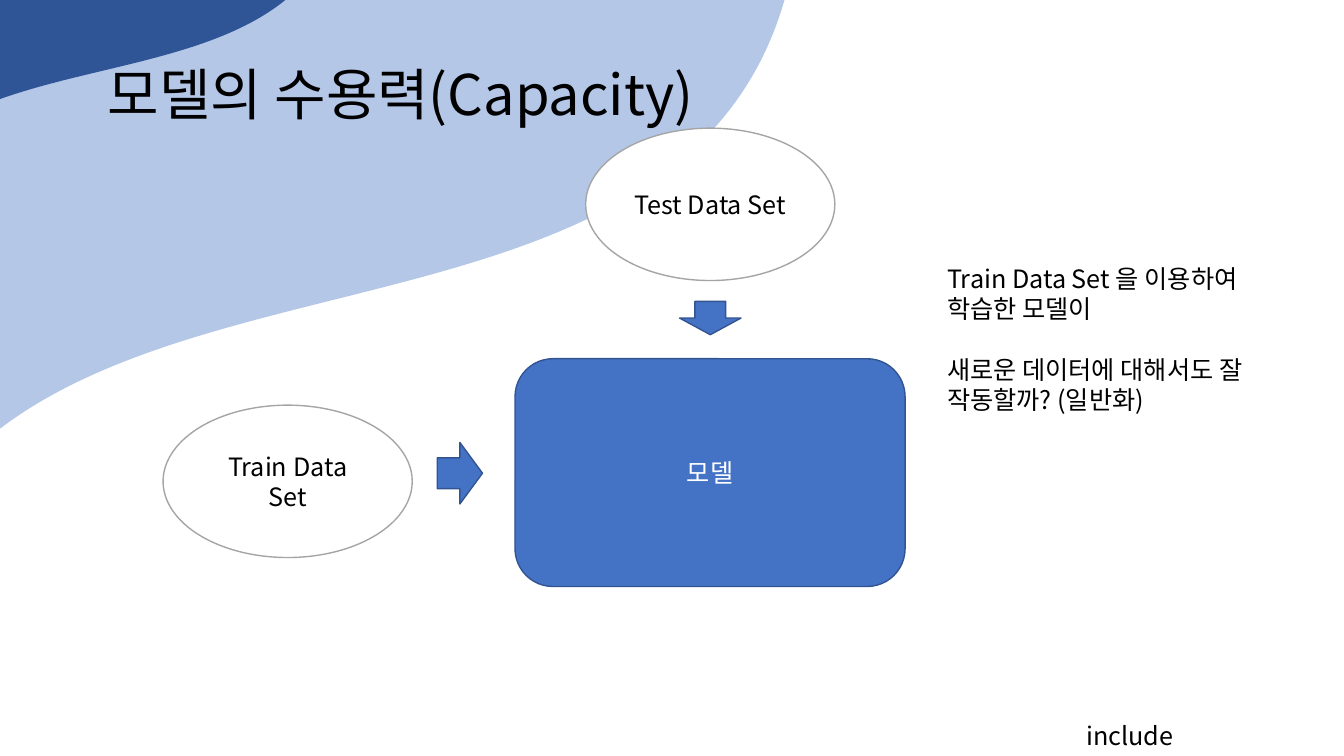
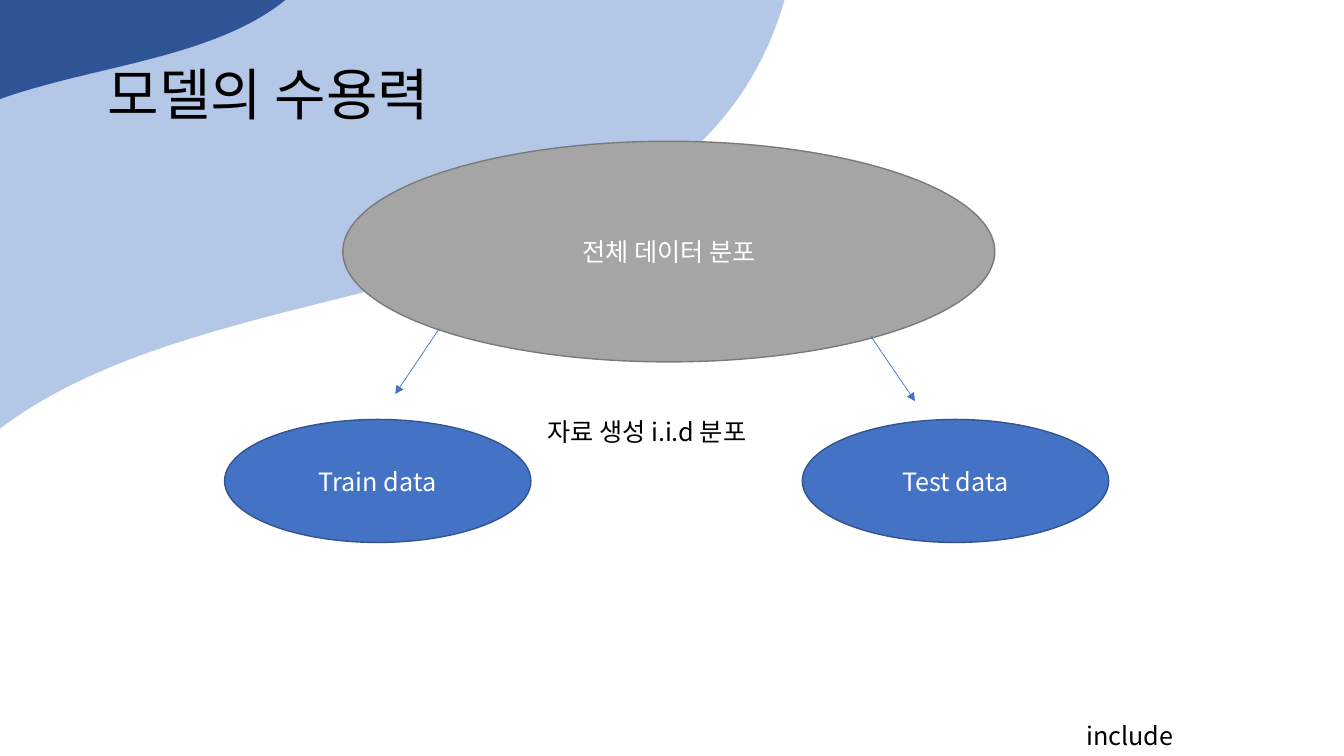
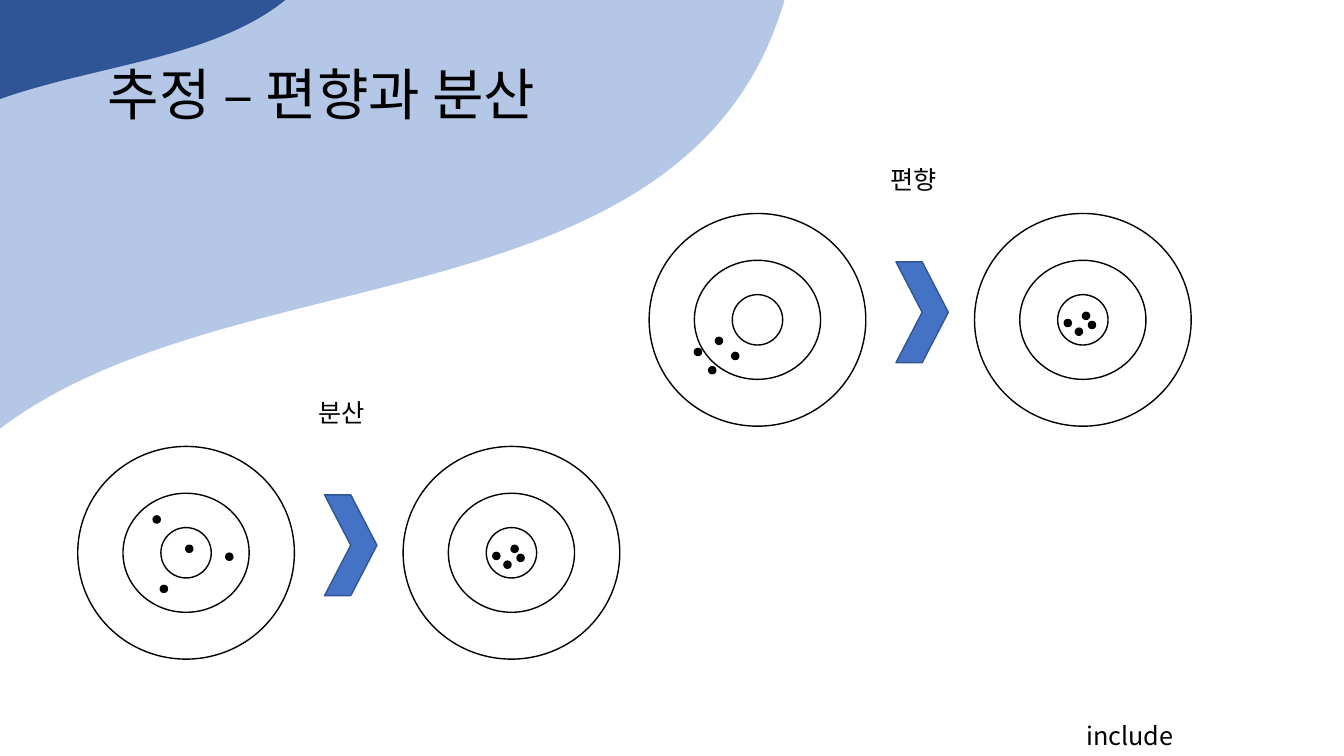
from lxml import etree
from pptx import Presentation
from pptx.dml.color import RGBColor
from pptx.enum.shapes import MSO_CONNECTOR, MSO_SHAPE as Shape
from pptx.enum.text import MSO_ANCHOR as Anchor, MSO_AUTO_SIZE as AutoSize, PP_ALIGN as Align
from pptx.oxml.ns import qn
from pptx.util import Cm, Pt

BLACK, WHITE = RGBColor(0, 0, 0), RGBColor(255, 255, 255)
BLUE, BLUE_EDGE = RGBColor(0x44, 0x72, 0xC4), RGBColor(0x32, 0x54, 0x91)
PALE_BLUE, DARK_BLUE = RGBColor(0xB4, 0xC7, 0xE7), RGBColor(0x2F, 0x55, 0x97)
GRAY, GRAY_EDGE = RGBColor(0xA5, 0xA5, 0xA5), RGBColor(0x7A, 0x7A, 0x7A)
FONT = "Noto Sans CJK KR"

# Looks: fill, line, text colour
SOLID = (BLUE, BLUE_EDGE, WHITE)
OUTLINE = (WHITE, GRAY, BLACK)
NEUTRAL = (GRAY, GRAY_EDGE, WHITE)
RING = (WHITE, BLACK, BLACK)
DOT = (BLACK, BLACK, WHITE)

# Shared parts; areas are left, top, width, height in cm
TITLE_AREA = (2.46, 1.57, 28.78, 2.54)
WAVES = [((-14.38, -13.64, 31.85, 27.25), PALE_BLUE),
         ((-9.6, -9.75, 16.89, 14.83), DARK_BLUE)]
WAVE_TURN = 317.8
FOOTER = ("include", (27.13, 18.03, 8.58, 1.03))

CAPACITY_SHAPES = [
    (Shape.OVAL, (4.11, 10.21, 6.28, 3.84), OUTLINE, "Train Data Set", 0),
    (Shape.ROUNDED_RECTANGLE, (12.98, 9.04, 9.83, 5.74), SOLID, "모델", 0),
    (Shape.RIGHT_ARROW, (11.02, 11.15, 1.14, 1.55), SOLID, "", 0),
    (Shape.OVAL, (14.76, 3.23, 6.28, 3.84), OUTLINE, "Test Data Set", 0),
    (Shape.RIGHT_ARROW, (17.48, 7.24, 0.84, 1.55), SOLID, "", 90),
]
DISTRIBUTION_SHAPES = [
    (Shape.OVAL, (8.64, 3.56, 16.43, 5.56), NEUTRAL, "전체 데이터 분포", 0),
    (Shape.OVAL, (5.66, 10.57, 7.72, 3.1), SOLID, "Train data", 0),
    (Shape.OVAL, (20.22, 10.57, 7.72, 3.1), SOLID, "Test data", 0),
]
SLIDES = [
    {"title": "모델의 수용력(Capacity)", "shapes": CAPACITY_SHAPES,
     "notes": [(["Train Data Set 을 이용하여 학습한 모델이",
                 "새로운 데이터에 대해서도 잘 작동할까? (일반화)"],
                (23.62, 6.5, 8.31, 4.11))]},
    {"title": "모델의 수용력", "shapes": DISTRIBUTION_SHAPES,
     "arrows": [(11.05, 8.31, 9.96, 9.93), (21.95, 8.48, 23.06, 10.11)],
     "notes": [(["자료 생성 i.i.d 분포"], (13.54, 10.36, 7.14, 1.02))]},
]

# Target diagrams: dot positions are measured from the target centre
RINGS = [(5.46, 5.36), (3.18, 3.0), (1.27, 1.27)]
DOT_SIZE = 0.18
TARGET_STEP = 8.2
TIGHT = [(0.23, 0.13), (-0.1, 0.3), (0.08, -0.1), (-0.38, 0.08)]
SCATTERED = [(-0.74, -0.84), (-0.56, 0.91), (0.08, -0.1), (1.09, 0.1)]
SHIFTED = [(-1.5, 0.81), (-0.56, 0.91), (-1.14, 1.27), (-0.97, 0.53)]
TARGET_TITLE = "추정 – 편향과 분산"
TARGET_PAIRS = [("분산", (4.69, 13.93), SCATTERED), ("편향", (19.09, 8.06), SHIFTED)]


def apply(thing, **values):
    """Set each named attribute of an object."""
    for name, value in values.items():
        setattr(thing, name, value)


def place(thing, area):
    """Move and size an object to an area in cm."""
    apply(thing, **dict(zip(("left", "top", "width", "height"), map(Cm, area))))


def write(para, text, size, color, **values):
    """Add one run of text in the deck font and format its paragraph."""
    apply(para, **values)
    span = para.add_run()
    span.text = text
    apply(span.font, name=FONT, size=Pt(size))
    span.font.color.rgb = color
    east_asian = etree.SubElement(span._r.get_or_add_rPr(), qn("a:ea"))
    east_asian.set("typeface", FONT)


def add_figure(page, kind, area, look, text="", turn=0):
    """Draw a flat preset shape with optional centred text."""
    fill, line, ink = look
    box = page.shapes.add_shape(kind, *map(Cm, area))
    box.shadow.inherit = False
    box.rotation = turn
    box.fill.solid()
    box.fill.fore_color.rgb = fill
    if line is None:
        box.line.fill.background()
    else:
        box.line.color.rgb = line
        box.line.width = Pt(1)
    if text:
        apply(box.text_frame, vertical_anchor=Anchor.MIDDLE, word_wrap=True)
        write(box.text_frame.paragraphs[0], text, 18, ink, alignment=Align.CENTER)
    return box


def add_note(page, lines, area):
    """Write a text box whose paragraphs are one line apart."""
    box = page.shapes.add_textbox(*map(Cm, area))
    frame = box.text_frame
    apply(frame, word_wrap=True, auto_size=AutoSize.SHAPE_TO_FIT_TEXT)
    for index, line in enumerate(lines):
        para = frame.add_paragraph() if index else frame.paragraphs[0]
        write(para, line, 18, BLACK, space_before=Pt(22 if index else 0))
    return box


def add_arrow(page, ends):
    """Draw a thin straight arrow."""
    arrow = page.shapes.add_connector(MSO_CONNECTOR.STRAIGHT, *map(Cm, ends))
    arrow.line.color.rgb = BLUE
    arrow.line.width = Pt(0.5)
    etree.SubElement(arrow.line._get_or_add_ln(), qn("a:tailEnd")).set("type", "triangle")
    etree.SubElement(arrow.element.spPr, qn("a:effectLst"))


def add_disc(page, center, size, look):
    """Draw a round shape about its centre."""
    (x, y), (width, height) = center, size
    area = (x - width / 2, y - height / 2, width, height)
    add_figure(page, Shape.FLOWCHART_CONNECTOR, area, look)


def add_target(page, center, dots):
    """Draw concentric rings with dots on them."""
    for size in RINGS:
        add_disc(page, center, size, RING)
    for dx, dy in dots:
        add_disc(page, (center[0] + dx, center[1] + dy), (DOT_SIZE, DOT_SIZE), DOT)


def add_target_pair(page, label, center, dots):
    """Draw a target, a chevron, the improved target and their label."""
    x, y = center
    add_target(page, center, dots)
    add_target(page, (x + TARGET_STEP, y), TIGHT)
    add_figure(page, Shape.CHEVRON, (x + 3.49, y - 1.46, 1.32, 2.54), SOLID)
    add_note(page, [label], (x + 3.09, y - 4.05, 9.63, 1.02))


def add_page(deck, layout, title):
    """Add a slide with its formatted title."""
    page = deck.slides.add_slide(layout)
    place(page.shapes.title, TITLE_AREA)
    frame = page.shapes.title.text_frame
    apply(frame, vertical_anchor=Anchor.TOP, word_wrap=True, auto_size=AutoSize.NONE)
    write(frame.paragraphs[0], title, 40, BLACK, alignment=Align.LEFT,
          line_spacing=0.9, space_before=Pt(10))
    return page


def decorate(layout, page):
    """Draw the waves and footer and move them to the layout."""
    parts = [add_figure(page, Shape.WAVE, area, (color, None, WHITE), turn=WAVE_TURN)
             for area, color in WAVES]
    parts.append(add_note(page, [FOOTER[0]], FOOTER[1]))
    tree = layout.element.cSld.spTree
    for index, part in enumerate(parts):
        part.element.nvSpPr.cNvPr.set("id", str(100 + index))
        tree.insert(2 + index, part.element)


def build():
    """Build and save the deck."""
    deck = Presentation()
    apply(deck, slide_width=Cm(33.87), slide_height=Cm(19.05))
    layout = deck.slide_layouts[5]
    for content in SLIDES:
        page = add_page(deck, layout, content["title"])
        for figure in content["shapes"]:
            add_figure(page, *figure)
        for ends in content.get("arrows", []):
            add_arrow(page, ends)
        for lines, area in content["notes"]:
            add_note(page, lines, area)
    page = add_page(deck, layout, TARGET_TITLE)
    for pair in TARGET_PAIRS:
        add_target_pair(page, *pair)
    decorate(layout, page)
    deck.save("out.pptx")


build()
